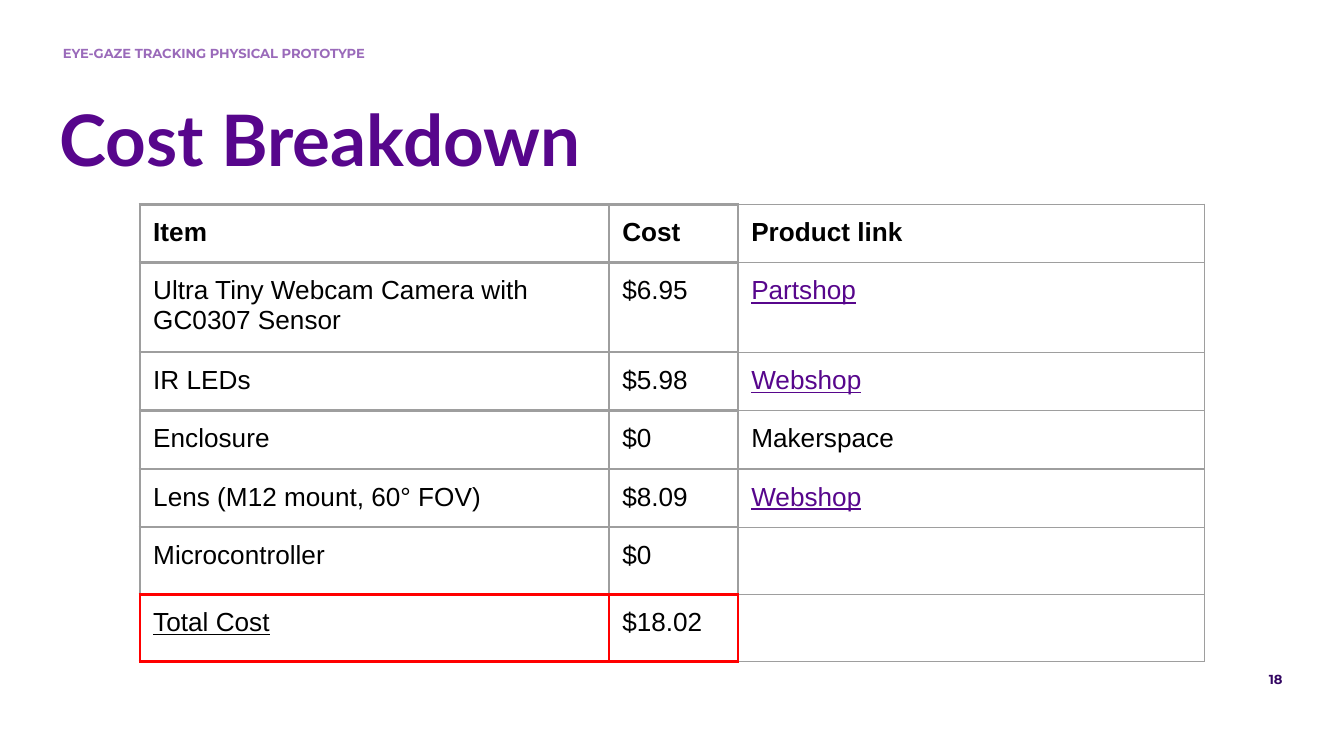
from dataclasses import dataclass

from lxml import etree
from pptx import Presentation
from pptx.dml.color import RGBColor
from pptx.enum.text import PP_ALIGN
from pptx.oxml.ns import qn
from pptx.util import Inches, Pt

LEFT, RIGHT = PP_ALIGN.LEFT, PP_ALIGN.RIGHT
BLANK_LAYOUT = 6

# A 16:9 slide on a square grid, 100 columns wide
SLIDE_WIDTH = Inches(10)
SLIDE_HEIGHT = SLIDE_WIDTH * 9 // 16
GRID_UNIT = SLIDE_WIDTH / 100


@dataclass(frozen=True)
class Theme:
    title: str = "57068C"
    section: str = "9A6ABA"
    number: str = "330662"
    text: str = "000000"
    link: str = "57068C"
    grid: str = "9E9E9E"
    total: str = "FF0000"
    title_font: str = "Lato"
    label_font: str = "Montserrat"
    table_font: str = "Arial"
    title_size: float = 38
    label_size: float = 7
    table_size: float = 14
    thin: float = 0.75
    thick: float = 1.5


THEME = Theme()

HEADER = ("Item", "Cost", "Product link")
ITEMS = [
    ("Ultra Tiny Webcam Camera with GC0307 Sensor", "$6.95", "Partshop"),
    ("IR LEDs", "$5.98", "Webshop"),
    ("Enclosure", "$0", "Makerspace"),
    ("Lens (M12 mount, 60° FOV)", "$8.09", "Webshop"),
    ("Microcontroller", "$0", ""),
]
TOTAL = ("Total Cost", "$18.02", "")
UNDERLINED = ("Partshop", "Webshop", "Total Cost")
COLUMN_WEIGHTS = (3.49, 0.96, 3.47)
MINIMUM_ROW_HEIGHT = Pt(30)


def place(*box):
    """Turn a box in grid units into lengths."""
    return [round(value * GRID_UNIT) for value in box]


def set_insets(frame):
    frame.margin_left = frame.margin_right = Inches(0.1)
    frame.margin_top = frame.margin_bottom = Inches(0.1)


def write(paragraph, text, font_name, size, color, bold):
    # The run carries its size too, so that small boxes keep their insets
    run = paragraph.add_run()
    run.text = text
    run.font.size = Pt(size)
    font = paragraph.font
    font.name, font.size, font.bold = font_name, Pt(size), bold
    font.color.rgb = RGBColor.from_string(color)


def add_label(slide, box, text, font_name, size, color, alignment=LEFT):
    frame = slide.shapes.add_textbox(*place(*box)).text_frame
    frame.word_wrap = True
    set_insets(frame)
    paragraph = frame.paragraphs[0]
    paragraph.alignment = alignment
    write(paragraph, text, font_name, size, color, True)


def set_borders(cell, borders):
    """Draw the left, right, top and bottom lines, given as (color, width)."""
    properties = cell._tc.get_or_add_tcPr()
    for index, (side, (color, width)) in enumerate(zip("LRTB", borders)):
        line = etree.Element(qn(f"a:ln{side}"), w=str(Pt(width)))
        fill = etree.SubElement(line, qn("a:solidFill"))
        etree.SubElement(fill, qn("a:srgbClr"), val=color)
        properties.insert(index, line)


def borders_for(row, column, last_row):
    """Thin lines round the links, red ones round the total."""
    grid, thin = (THEME.grid, THEME.thick), (THEME.grid, THEME.thin)
    red = (THEME.total, THEME.thick)
    is_total = row == last_row
    if column == 2:
        return (red if is_total else grid), thin, thin, thin
    if is_total:
        return red, red, red, red
    return grid, grid, grid, (red if row == last_row - 1 else grid)


def add_cost_table(slide, box):
    rows = [HEADER, *ITEMS, TOTAL]
    left, top, width, height = place(*box)
    table_frame = slide.shapes.add_table(len(rows), len(HEADER), left, top, width, height)
    table = table_frame.table
    table.first_row = table.horz_banding = False
    for table_column, weight in zip(table.columns, COLUMN_WEIGHTS):
        table_column.width = round(width * weight / sum(COLUMN_WEIGHTS))
    for table_row in table.rows:
        table_row.height = MINIMUM_ROW_HEIGHT
    # Rows grow with their text up to the full height
    table_frame.height = height

    for row, texts in enumerate(rows):
        for column, text in enumerate(texts):
            cell = table.cell(row, column)
            set_insets(cell)
            cell.fill.background()
            set_borders(cell, borders_for(row, column, len(rows) - 1))
            if not text:
                continue
            paragraph = cell.text_frame.paragraphs[0]
            underlined = text in UNDERLINED
            color = THEME.link if underlined and column == 2 else THEME.text
            write(paragraph, text, THEME.table_font, THEME.table_size, color, row == 0)
            paragraph.font.underline = underlined


def build_cost_slide(presentation):
    slide = presentation.slides.add_slide(presentation.slide_layouts[BLANK_LAYOUT])
    # Slide number
    add_label(slide, (50.5, 49.4, 45.9, 3.4), "18",
              THEME.label_font, THEME.label_size, THEME.number, RIGHT)
    # Title and section name
    add_label(slide, (3.45, 6.1, 41.9, 8), "Cost Breakdown",
              THEME.title_font, THEME.title_size, THEME.title)
    add_label(slide, (3.7, 2.8, 26.6, 3.4), "EYE-GAZE TRACKING PHYSICAL PROTOTYPE",
              THEME.label_font, THEME.label_size, THEME.section)
    # Costs
    add_cost_table(slide, (10.4, 15.2, 79.2, 32.8))


def main():
    presentation = Presentation()
    presentation.slide_width = SLIDE_WIDTH
    presentation.slide_height = SLIDE_HEIGHT
    build_cost_slide(presentation)
    presentation.save("out.pptx")


if __name__ == "__main__":
    main()
